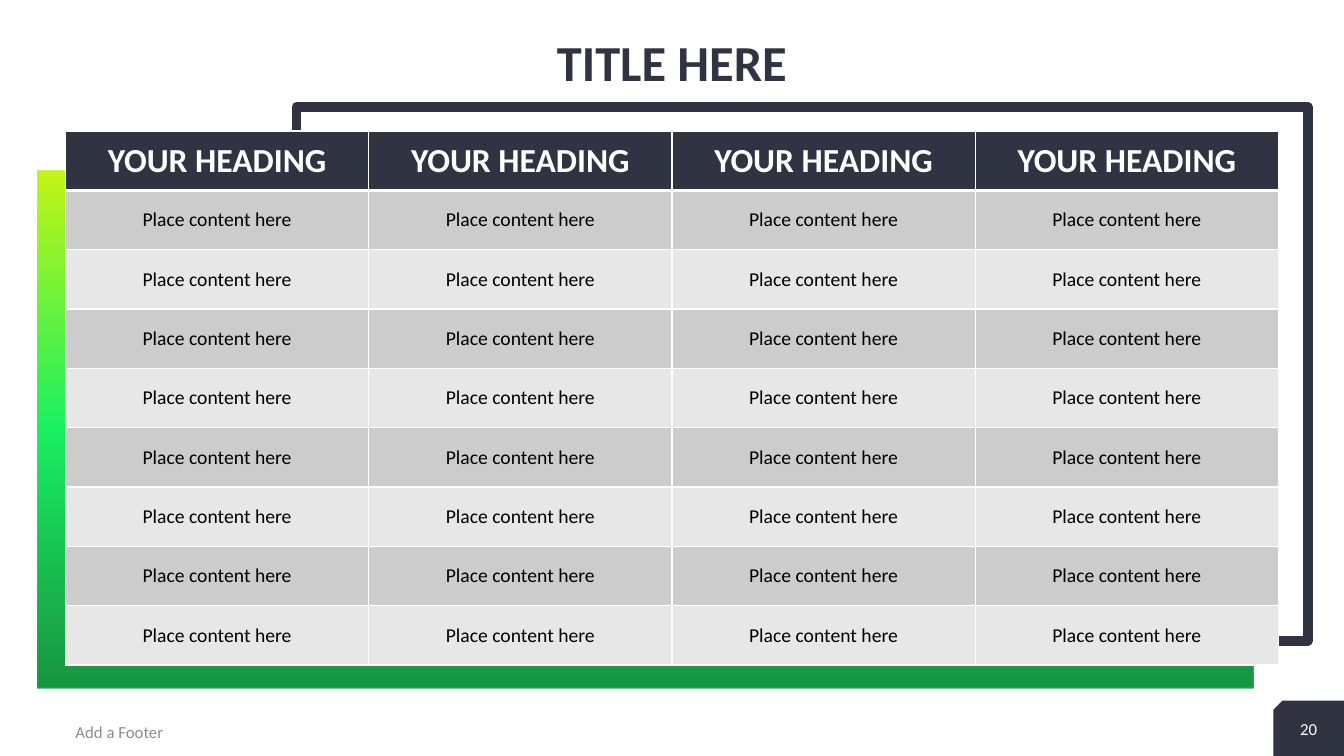
from dataclasses import dataclass

from lxml.etree import SubElement
from pptx import Presentation
from pptx.dml.color import RGBColor
from pptx.enum.shapes import MSO_SHAPE
from pptx.enum.text import MSO_ANCHOR, PP_ALIGN
from pptx.oxml.ns import qn
from pptx.util import Inches, Pt


@dataclass(frozen=True)
class Theme:
    """Colours, type sizes and font of the slide."""
    font: str = "Calibri"
    navy: str = "2F3342"
    white: str = "FFFFFF"
    black: str = "000000"
    grey: str = "8C8C8C"
    bands: tuple = ("CCCCCC", "E7E7E7")
    gradient: tuple = ((0, "038B30"), (50, "05EE55"), (100, "C0F400"))
    gradient_opacity: int = 91
    title_size: int = 36
    heading_size: int = 24
    body_size: int = 14
    small_size: int = 12


class SlideBuilder:
    """Draws styled elements on the current slide."""

    def __init__(self, slide, theme):
        """Keep the slide and its theme."""
        self.slide = slide
        self.theme = theme

    def style_text(self, paragraph, size, color, bold=False, align=PP_ALIGN.CENTER):
        """Format the runs of a paragraph."""
        paragraph.alignment = align
        for run in paragraph.runs:
            run.font.name = self.theme.font
            run.font.size = Pt(size)
            run.font.bold = bold
            run.font.color.rgb = RGBColor.from_string(color)

    def text(self, words, box, size, color, spacing=1.0, **style):
        """Add a vertically centred text box."""
        frame = self.slide.shapes.add_textbox(*map(Inches, box)).text_frame
        frame.word_wrap = True
        frame.vertical_anchor = MSO_ANCHOR.MIDDLE
        frame.text = words
        frame.paragraphs[0].line_spacing = spacing
        self.style_text(frame.paragraphs[0], size, color, **style)

    def shape(self, kind, box, fill=None, line=None, weight=0):
        """Add a preset shape with an optional fill and line."""
        shape = self.slide.shapes.add_shape(kind, *map(Inches, box))
        shape.shadow.inherit = False
        if fill:
            shape.fill.solid()
            shape.fill.fore_color.rgb = RGBColor.from_string(fill)
        else:
            shape.fill.background()
        if line:
            shape.line.color.rgb = RGBColor.from_string(line)
            shape.line.width = Pt(weight)
        else:
            shape.line.fill.background()
        return shape

    def gradient_panel(self, box):
        """Add a rectangle with the theme gradient rising from its base."""
        panel = self.shape(MSO_SHAPE.RECTANGLE, box)
        panel.fill.gradient()
        panel.fill.gradient_angle = 90
        stops = panel._element.spPr.find(qn("a:gradFill")).find(qn("a:gsLst"))
        for stop in list(stops):
            stops.remove(stop)
        for position, color in self.theme.gradient:
            stop = SubElement(stops, qn("a:gs"), pos=str(position * 1000))
            tint = SubElement(stop, qn("a:srgbClr"), val=color)
            SubElement(tint, qn("a:alpha"), val=str(self.theme.gradient_opacity * 1000))

    def page_tab(self, number, box, number_box):
        """Add the corner tab with its page number."""
        tab = self.shape(MSO_SHAPE.SNIP_1_RECTANGLE, box, fill=self.theme.navy)
        tab._element.spPr.find(qn("a:xfrm")).set("flipH", "1")
        self.text(number, number_box, self.theme.small_size, self.theme.white)

    def cell_borders(self, cell, **weights):
        """Draw white borders on the given sides of a cell."""
        properties = cell._tc.get_or_add_tcPr()
        for side, weight in weights.items():
            border = SubElement(properties, qn(f"a:ln{side}"), w=str(Pt(weight)))
            paint = SubElement(border, qn("a:solidFill"))
            SubElement(paint, qn("a:srgbClr"), val=self.theme.white)

    def table(self, rows, box):
        """Add an even grid with a heading row and banded content."""
        theme = self.theme
        left, top, width, height = map(Inches, box)
        grid = self.slide.shapes.add_table(
            len(rows), len(rows[0]), left, top, width, height).table
        for column in grid.columns:
            column.width = width // len(rows[0])
        for r, words in enumerate(rows):
            grid.rows[r].height = height // len(rows)
            heading = r == 0
            fill = theme.navy if heading else theme.bands[(r - 1) % 2]
            size = theme.heading_size if heading else theme.body_size
            color = theme.white if heading else theme.black
            for c, word in enumerate(words):
                cell = grid.cell(r, c)
                self.cell_borders(cell, L=1, R=1, T=3 if r == 1 else 1,
                                  B=3 if heading else 1)
                cell.fill.solid()
                cell.fill.fore_color.rgb = RGBColor.from_string(fill)
                cell.vertical_anchor = MSO_ANCHOR.MIDDLE
                cell.margin_left = cell.margin_right = Inches(0.07)
                cell.margin_top = cell.margin_bottom = Inches(0.04)
                cell.text_frame.text = word
                self.style_text(cell.text_frame.paragraphs[0], size, color, bold=heading)


def main():
    """Build the table slide and save it."""
    presentation = Presentation()
    presentation.slide_width = Inches(13.33)
    presentation.slide_height = Inches(7.5)
    theme = Theme()
    builder = SlideBuilder(
        presentation.slides.add_slide(presentation.slide_layouts[6]), theme)

    builder.text("TITLE HERE", (0.65, 0, 12.03, 1.3), theme.title_size, theme.navy,
                 spacing=0.9, bold=True)
    builder.shape(MSO_SHAPE.RECTANGLE, (2.94, 1.06, 10.03, 5.3),
                  line=theme.navy, weight=7)
    builder.gradient_panel((0.37, 1.69, 12.06, 5.14))
    headings = ["YOUR HEADING"] * 4
    content = [["Place content here"] * 4] * 8
    builder.table([headings] + content, (0.65, 1.3, 12.03, 5.3))
    builder.text("Add a Footer", (0.65, 7.06, 4.5, 0.4), theme.small_size, theme.grey,
                 align=PP_ALIGN.LEFT)
    builder.page_tab("20", (12.63, 6.95, 0.7, 0.55), (12.63, 7.01, 0.7, 0.45))

    presentation.save("out.pptx")


if __name__ == "__main__":
    main()
